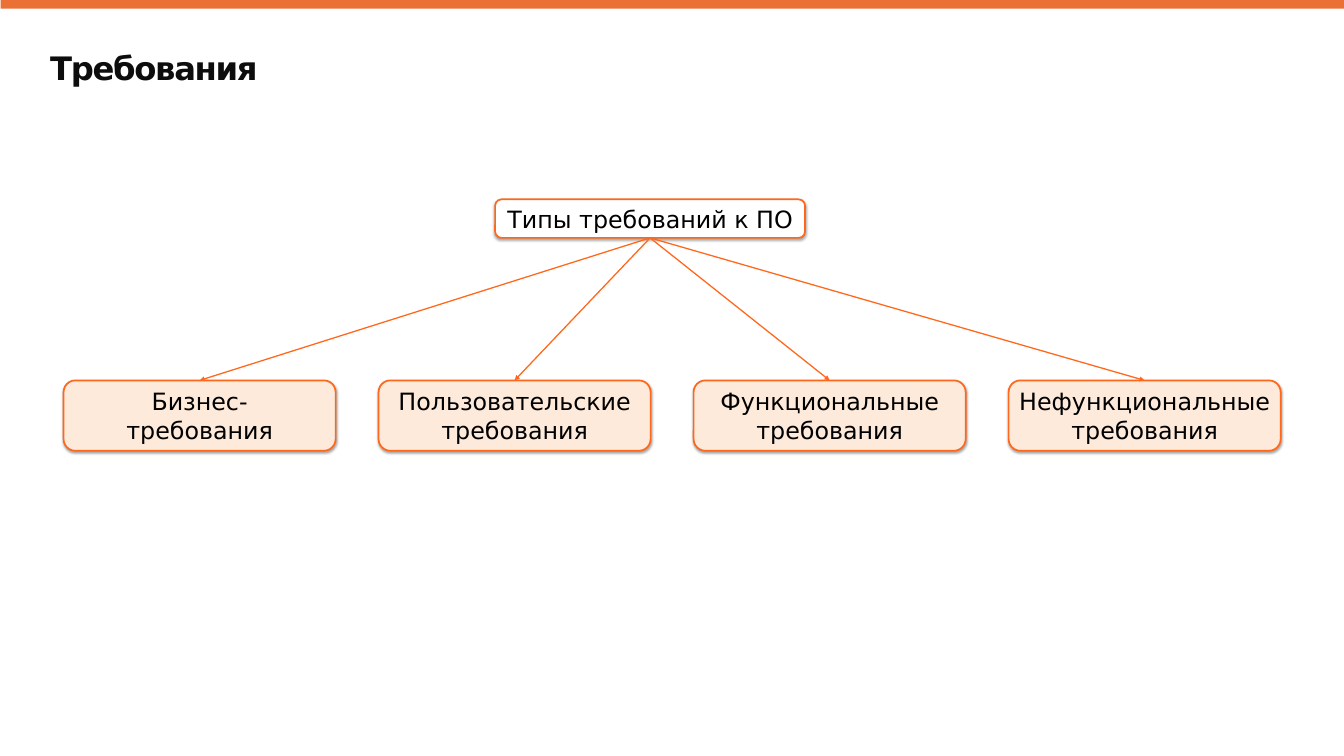
import pptx
import pptx.util
import pptx.dml.color
import pptx.enum.shapes
import pptx.enum.text
import pptx.oxml
import pptx.oxml.ns

Inches = pptx.util.Inches
Pt = pptx.util.Pt
RGBColor = pptx.dml.color.RGBColor
ShapeType = pptx.enum.shapes.MSO_SHAPE
Anchor = pptx.enum.text.MSO_ANCHOR
Align = pptx.enum.text.PP_ALIGN

BAR_ORANGE = RGBColor(0xEA, 0x70, 0x35)
LINE_ORANGE = RGBColor(0xFF, 0x68, 0x1C)
PEACH = RGBColor(0xFD, 0xEA, 0xDA)
WHITE = RGBColor(0xFF, 0xFF, 0xFF)
BLACK = RGBColor(0x00, 0x00, 0x00)
TITLE_BLACK = RGBColor(0x0D, 0x0D, 0x0D)

FONT = "DejaVu Sans"
ROOT_LABEL = "Типы требований к ПО"
TYPE_LABELS = [
    "Бизнес-\vтребования",
    "Пользовательские требования",
    "Функциональные требования",
    "Нефункциональные требования",
]
ROOT_WIDTH, ROOT_HEIGHT = 5.07, 0.63
TYPE_WIDTH, TYPE_HEIGHT = 4.45, 1.15
SHADOW = (
    '<a:effectLst %s><a:outerShdw blurRad="38100" dist="22860" dir="5400000" rotWithShape="0">'
    '<a:srgbClr val="000000"><a:alpha val="35000"/></a:srgbClr></a:outerShdw></a:effectLst>'
    % pptx.oxml.ns.nsdecls("a")
)


def format_text(text_frame, size, color, inset, anchor, align):
    """Apply the slide's font and the given layout to a text frame."""
    text_frame.word_wrap = True
    text_frame.auto_size = pptx.enum.text.MSO_AUTO_SIZE.NONE
    text_frame.vertical_anchor = anchor
    text_frame.margin_left = text_frame.margin_right = Inches(inset)
    text_frame.margin_top = text_frame.margin_bottom = Inches(inset)
    for paragraph in text_frame.paragraphs:
        paragraph.alignment = align
        for run in paragraph.runs:
            run.font.name = FONT
            run.font.size = Pt(size)
            run.font.color.rgb = color


def add_top_bar(slide, left, top, width, height):
    """Draw the orange bar along the top edge."""
    bar = slide.shapes.add_shape(
        ShapeType.RECTANGLE, Inches(left), Inches(top), Inches(width), Inches(height))
    bar.shadow.inherit = False
    bar.fill.solid()
    bar.fill.fore_color.rgb = BAR_ORANGE
    bar.line.fill.background()


def set_title(slide, left, top, width, height):
    """Place and format the slide title."""
    title = slide.shapes.title
    title.left, title.top = Inches(left), Inches(top)
    title.width, title.height = Inches(width), Inches(height)
    title.text_frame.text = "Требования"
    format_text(title.text_frame, 38, TITLE_BLACK, 0.08, Anchor.TOP, Align.LEFT)
    paragraph = title.text_frame.paragraphs[0]
    paragraph.space_before = Pt(16)
    paragraph.line_spacing = 1.0
    run = paragraph.runs[0]
    run.font.bold = True
    run.font._element.set("spc", "-160")


def add_box(slide, left, top, width, height, label, fill):
    """Add a rounded, outlined box with a soft shadow and a centred label."""
    box = slide.shapes.add_shape(
        ShapeType.ROUNDED_RECTANGLE, Inches(left), Inches(top), Inches(width), Inches(height))
    box.fill.solid()
    box.fill.fore_color.rgb = fill
    box.line.color.rgb = LINE_ORANGE
    box.line.width = Pt(2)
    box._element.spPr.append(pptx.oxml.parse_xml(SHADOW))
    box.text_frame.text = label
    format_text(box.text_frame, 28, BLACK, 0.05, Anchor.MIDDLE, Align.CENTER)
    return box


def add_arrow(slide, parent, child):
    """Join the bottom of the parent box to the top of the child box."""
    arrow = slide.shapes.add_connector(pptx.enum.shapes.MSO_CONNECTOR.STRAIGHT, 0, 0, 0, 0)
    arrow.begin_connect(parent, 2)
    arrow.end_connect(child, 0)
    arrow.line.color.rgb = LINE_ORANGE
    arrow.line.width = Pt(1.5)
    namespace = pptx.oxml.ns.nsdecls("a")
    arrow.line._get_or_add_ln().append(
        pptx.oxml.parse_xml(f'<a:tailEnd {namespace} type="triangle"/>'))
    arrow._element.spPr.append(pptx.oxml.parse_xml(f"<a:effectLst {namespace}/>"))


def add_requirements_tree(slide, left, top, width, height):
    """Draw the root box, an even row of requirement types and their arrows."""
    root = add_box(slide, left + 7.06, top, ROOT_WIDTH, ROOT_HEIGHT, ROOT_LABEL, WHITE)
    pitch = (width - TYPE_WIDTH) / (len(TYPE_LABELS) - 1)
    row_top = top + height - TYPE_HEIGHT
    type_boxes = [
        add_box(slide, left + index * pitch, row_top, TYPE_WIDTH, TYPE_HEIGHT, label, PEACH)
        for index, label in enumerate(TYPE_LABELS)
    ]
    for type_box in type_boxes:
        add_arrow(slide, root, type_box)


def main():
    """Build and save the presentation."""
    presentation = pptx.Presentation()
    presentation.slide_width = Inches(1583 / 72)
    presentation.slide_height = Inches(890 / 72)
    slide = presentation.slides.add_slide(presentation.slide_layouts[5])
    add_top_bar(slide, 0.01, 0, 21.98, 0.14)
    set_title(slide, 0.74, 0.71, 15.37, 0.96)
    add_requirements_tree(slide, 1.04, 3.26, 19.91, 4.11)
    presentation.save("out.pptx")


if __name__ == "__main__":
    main()
